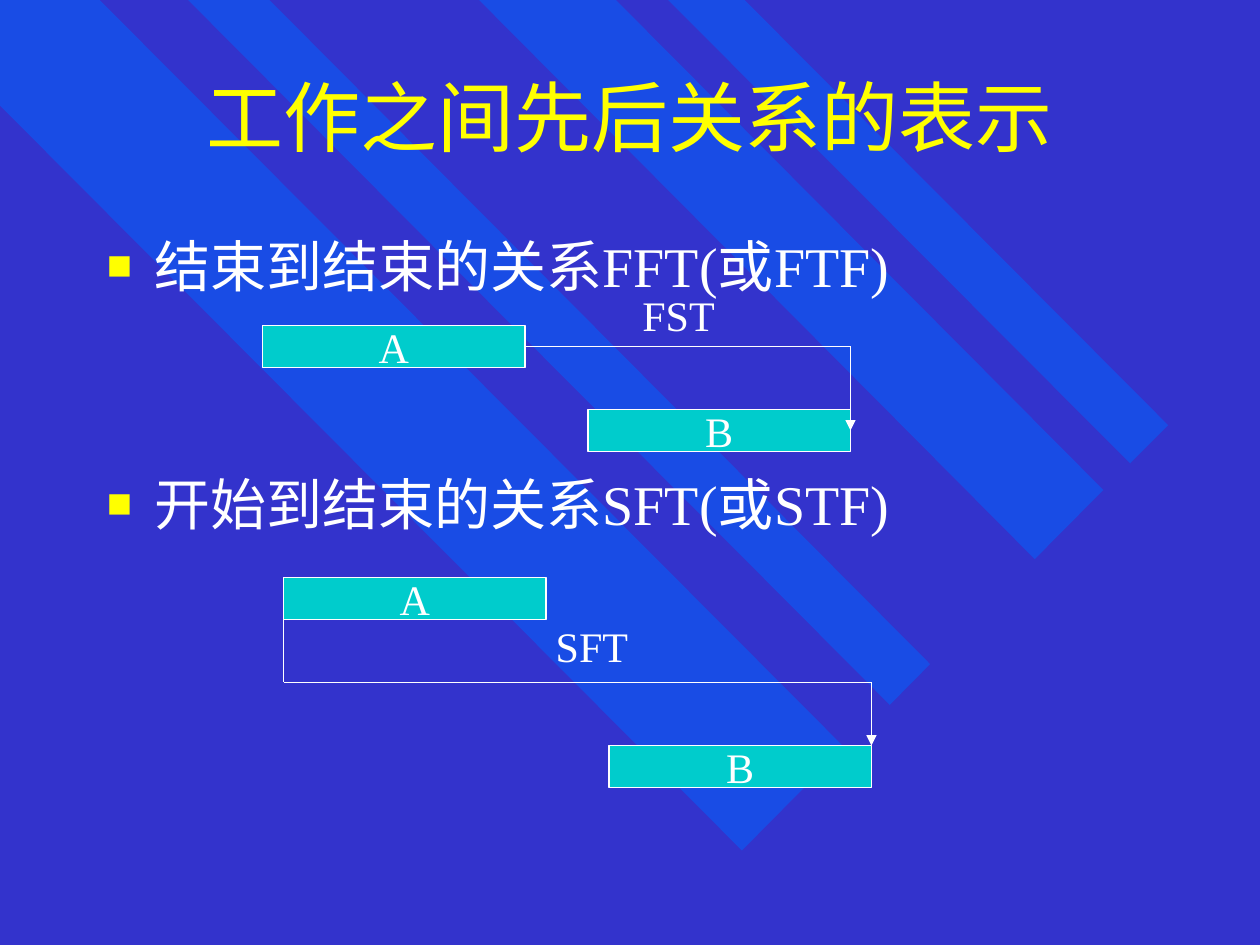
from itertools import pairwise
from pptx import Presentation
from pptx.dml.color import RGBColor
from pptx.enum.shapes import MSO_CONNECTOR, MSO_SHAPE
from pptx.enum.text import MSO_ANCHOR, PP_ALIGN
from pptx.oxml.ns import qn
from pptx.util import Pt
from lxml.etree import SubElement

THEME = {
    "font": "Times New Roman",
    "back": "3333CC", "stripe": "0066FF", "title": "FFFF00",
    "text": "FFFFFF", "bar": "00CCCC", "line": "FFFFFF", "bullet": "FFFF00",
    "title_size": 44, "body_size": 32, "label_size": 24,
}
TITLE = "工作之间先后关系的表示"
BULLETS = [("结束到结束的关系FFT(或FTF)", 0), ("开始到结束的关系SFT(或STF)", 97.6)]
STRIPES = [
    [(482.4, 427), (57, 0), (0, 0), (0, 60.3), (424, 486)],
    [(154, 0), (531.5, 379.5), (508.5, 402.8), (107.5, 0)],
    [(352, 0), (630.5, 280), (591.3, 319.5), (273.8, 0)],
    [(381.8, 0), (645.8, 264.8), (667.5, 243), (425.5, 0)],
]
BAR_WIDTH, BAR_HEIGHT, BAR_SHIFT = 150, 24, 186
DIAGRAMS = [
    {"left": 150, "tops": (186, 234), "label": ("FST", 360, 162),
     "route": [(300, 198), (486, 198), (486, 246)]},
    {"left": 162, "tops": (330, 426), "label": ("SFT", 310.5, 351),
     "route": [(162, 342), (162, 390), (498, 390), (498, 426)]},
]


def colour(name):
    return RGBColor.from_string(THEME[name])


def add_span(para, text, size, tint):
    span = para.add_run()
    span.text = text
    span.font.name = THEME["font"]
    span.font.size = Pt(THEME[size])
    span.font.color.rgb = colour(tint)


def add_box(page, left, top, width, height, wrap=True):
    box = page.shapes.add_textbox(Pt(left), Pt(top), Pt(width), Pt(height))
    box.text_frame.word_wrap = wrap
    return box.text_frame


def add_stripe(page, points):
    corners = [(Pt(x), Pt(y)) for x, y in points]
    builder = page.shapes.build_freeform(*corners[0])
    builder.add_line_segments(corners[1:], close=True)
    stripe = builder.convert_to_shape()
    stripe.shadow.inherit = False
    stripe.fill.solid()
    stripe.fill.fore_color.rgb = colour("stripe")
    stripe.line.fill.background()
    tint = stripe.fill._xPr.find(qn("a:solidFill"))[0]
    SubElement(tint, qn("a:alpha"), val="50000")


def add_bullet(para):
    props = para._p.get_or_add_pPr()
    props.set("marL", str(Pt(27)))
    props.set("indent", str(-Pt(27)))
    tint = SubElement(props, qn("a:buClr"))
    SubElement(tint, qn("a:srgbClr"), val=THEME["bullet"])
    SubElement(props, qn("a:buSzPct"), val="75000")
    SubElement(props, qn("a:buFont"), typeface=THEME["font"])
    SubElement(props, qn("a:buChar"), char="■")


def add_bar(page, name, left, top):
    bar = page.shapes.add_shape(
        MSO_SHAPE.RECTANGLE, Pt(left), Pt(top), Pt(BAR_WIDTH), Pt(BAR_HEIGHT))
    bar.shadow.inherit = False
    bar.fill.solid()
    bar.fill.fore_color.rgb = colour("bar")
    bar.line.color.rgb = colour("line")
    bar.line.width = Pt(1)
    frame = bar.text_frame
    frame.word_wrap = False
    frame.vertical_anchor = MSO_ANCHOR.MIDDLE
    para = frame.paragraphs[0]
    para.alignment = PP_ALIGN.CENTER
    add_span(para, name, "label_size", "text")


def add_route(page, points):
    for start, end in pairwise(points):
        line = page.shapes.add_connector(
            MSO_CONNECTOR.STRAIGHT, *map(Pt, start), *map(Pt, end))
        line.line.color.rgb = colour("line")
        line.line.width = Pt(1)
        if end == points[-1]:
            SubElement(line.line._get_or_add_ln(), qn("a:tailEnd"), type="triangle")
        SubElement(line._element.spPr, qn("a:effectLst"))


def main():
    deck = Presentation()
    deck.slide_width, deck.slide_height = Pt(720), Pt(540)
    page = deck.slides.add_slide(deck.slide_layouts[6])
    page.background.fill.solid()
    page.background.fill.fore_color.rgb = colour("back")
    for points in STRIPES:
        add_stripe(page, points)

    title = add_box(page, 54, 18, 612, 96)
    title.vertical_anchor = MSO_ANCHOR.MIDDLE
    title.paragraphs[0].alignment = PP_ALIGN.CENTER
    add_span(title.paragraphs[0], TITLE, "title_size", "title")

    body = add_box(page, 54, 129, 612, 351)
    for index, (text, gap) in enumerate(BULLETS):
        para = body.add_paragraph() if index else body.paragraphs[0]
        add_bullet(para)
        para.space_before = Pt(gap)
        add_span(para, text, "body_size", "text")

    for diagram in DIAGRAMS:
        for index, (name, top) in enumerate(zip("AB", diagram["tops"])):
            add_bar(page, name, diagram["left"] + index * BAR_SHIFT, top)
        add_route(page, diagram["route"])
        text, left, top = diagram["label"]
        label = add_box(page, left, top, 55.5, 36, wrap=False)
        add_span(label.paragraphs[0], text, "label_size", "text")
    deck.save("out.pptx")


if __name__ == "__main__":
    main()
